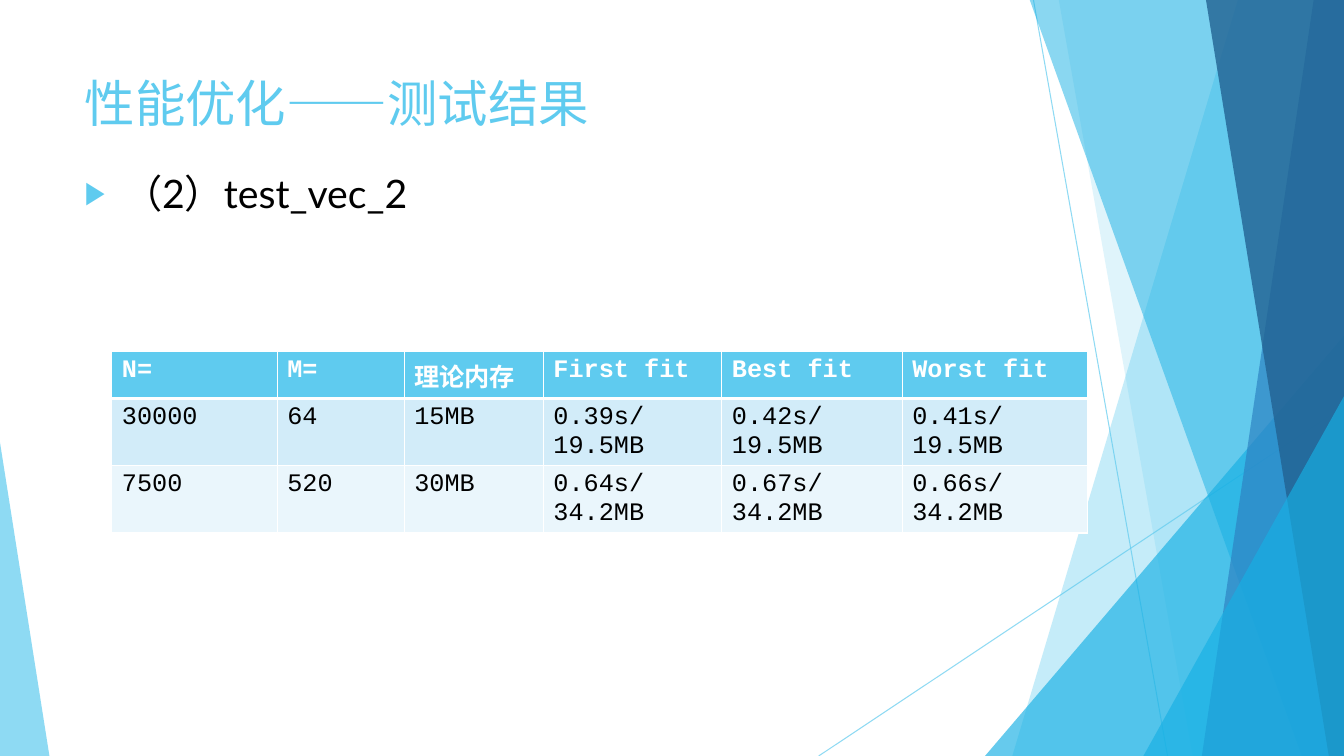
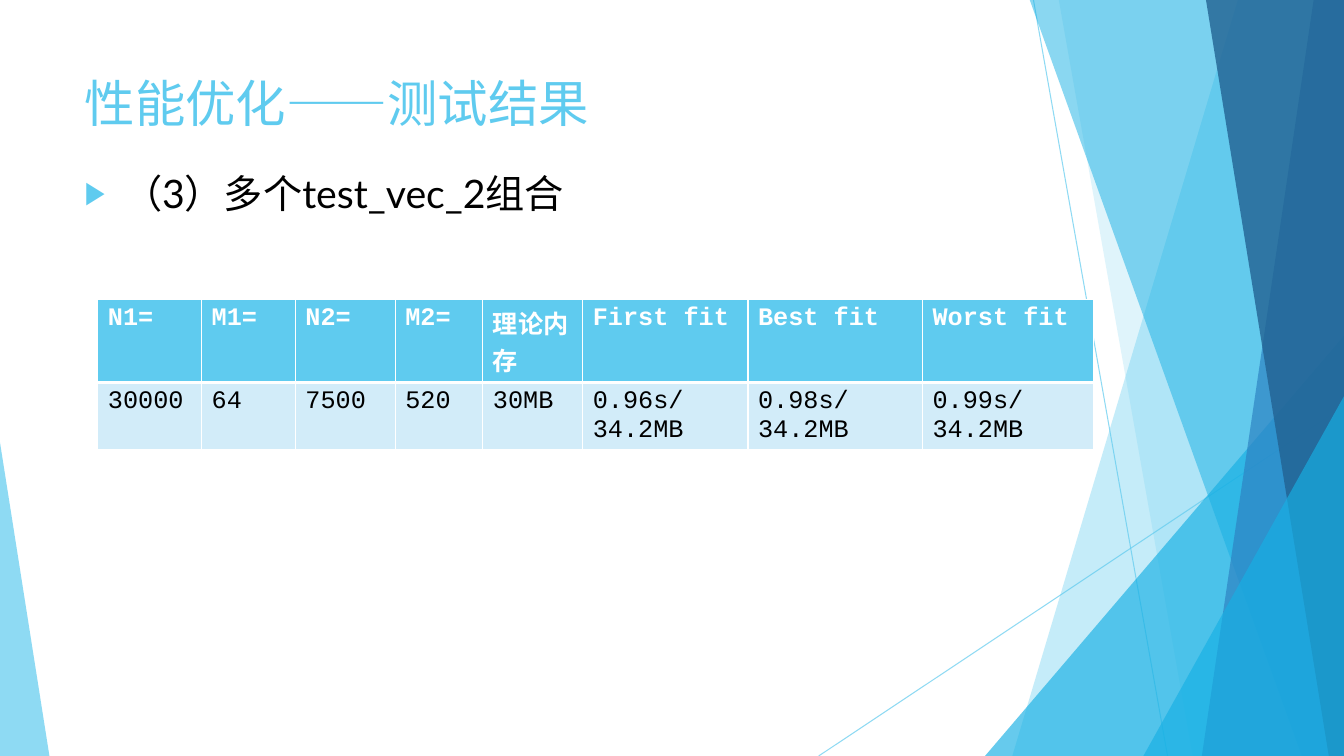
from dataclasses import dataclass

from lxml import etree
from pptx import Presentation
from pptx import util as u
from pptx.dml import color
from pptx.enum import shapes, text
from pptx.oxml import ns

# Shared look: lengths are px, 100 to the inch
PX = 9144
WIDTH, HEIGHT = 1333, 750
SKY, CYAN, BLUE, NAVY = "5FCBEF", "17B0E4", "2E83C3", "226292"
WHITE, BLACK = "FFFFFF", "000000"
BAND_FILLS = ("D2ECF9", "EAF6FC")
MONO, SANS = "Courier New", "Lato"
TITLE = "性能优化——测试结果"
ROW_HEIGHT = 41


@dataclass(frozen=True)
class Ray:
    start: tuple[int, int]
    end: tuple[int, int]


@dataclass(frozen=True)
class Band:
    """A full-height strip, given by its left and right edges."""
    top_left: int
    bottom_left: int
    fill: str
    opacity: int


@dataclass(frozen=True)
class Wedge:
    left: int
    top: int
    width: int
    apex: float
    fill: str
    opacity: int


@dataclass(frozen=True)
class Result:
    heading: str
    left: int
    top: int
    columns: tuple[int, ...]
    rows: tuple[tuple[str, ...], ...]


BACKDROP = (
    Ray((1025, 0), (1158, 750)),
    Ray((1333, 403), (812, 750)),
    Band(1228, 1004, SKY, 36),
    Band(1050, 1183, SKY, 20),
    Wedge(977, 333, 356, 1, CYAN, 66),
    Band(1021, 1291, CYAN, 50),
    Band(1303, 1192, BLUE, 70),
    Band(1196, 1318, NAVY, 80),
    Wedge(1134, 393, 199, 1, CYAN, 66),
    Wedge(0, 439, 49, 0, SKY, 70),
)

RESULTS = (
    Result("（2）test_vec_2", 111, 349, (164, 126, 138, 177, 179, 184), (
        ("N=", "M=", "理论内存", "First fit", "Best fit", "Worst fit"),
        ("30000", "64", "15MB", "0.39s/19.5MB", "0.42s/19.5MB", "0.41s/19.5MB"),
        ("7500", "520", "30MB", "0.64s/34.2MB", "0.67s/34.2MB", "0.66s/34.2MB"),
    )),
    Result("（3）多个test_vec_2组合", 97, 297, (103, 93, 99, 87, 99, 164, 173, 170), (
        ("N1=", "M1=", "N2=", "M2=", "理论内存", "First fit", "Best fit", "Worst fit"),
        ("30000", "64", "7500", "520", "30MB",
         "0.96s/34.2MB", "0.98s/34.2MB", "0.99s/34.2MB"),
    )),
)


def px(length: int) -> int:
    return u.Emu(length * PX)


def rgb(code: str) -> color.RGBColor:
    return color.RGBColor.from_string(code)


def add_xml(parent, tag: str, **attributes: str):
    return etree.SubElement(parent, ns.qn(tag), attributes)


def set_opacity(shape, percent: int) -> None:
    for value in shape.element.iter(ns.qn("a:srgbClr")):
        add_xml(value, "a:alpha", val=str(percent * 1000))


def format_runs(paragraph, size: int, font: str, colour: str, bold: bool = False) -> None:
    for run in paragraph.runs:
        run.font.size = u.Pt(size)
        run.font.name = font
        run.font.bold = bold
        run.font.color.rgb = rgb(colour)


# Backdrop
def draw_ray(slide, ray: Ray):
    line = slide.shapes.add_connector(
        shapes.MSO_CONNECTOR.STRAIGHT, *map(px, ray.start + ray.end))
    line.line.color.rgb = rgb(SKY)
    line.line.width = u.Pt(0.75)
    set_opacity(line, 70)
    add_xml(line.element.spPr, "a:effectLst")
    return line


def draw_facet(slide, facet: Band | Wedge):
    if isinstance(facet, Band):
        builder = slide.shapes.build_freeform(facet.top_left, -1, scale=PX)
        builder.add_line_segments(
            [(WIDTH, -1), (WIDTH, HEIGHT), (facet.bottom_left, HEIGHT)], close=True)
        shape = builder.convert_to_shape()
    else:
        shape = slide.shapes.add_shape(
            shapes.MSO_SHAPE.ISOSCELES_TRIANGLE, px(facet.left), px(facet.top),
            px(facet.width), px(HEIGHT - facet.top))
        shape.adjustments[0] = facet.apex
    shape.shadow.inherit = False
    shape.fill.solid()
    shape.fill.fore_color.rgb = rgb(facet.fill)
    shape.line.fill.background()
    set_opacity(shape, facet.opacity)
    return shape


def move_backdrop_to_layout(slide, layout) -> None:
    """Draw the backdrop once and hand it to the layout, behind its placeholders."""
    tree = layout.shapes.element
    for index, part in enumerate(BACKDROP):
        shape = draw_ray(slide, part) if isinstance(part, Ray) else draw_facet(slide, part)
        shape.element.xpath("./*/p:cNvPr")[0].set("id", str(100 + index))
        tree.insert(2 + index, shape.element)


# Title and list
def fill_placeholder(shape, words: str, box: tuple[int, int, int, int]):
    shape.left, shape.top, shape.width, shape.height = map(px, box)
    frame = shape.text_frame
    frame.text = words
    frame.word_wrap = True
    frame.auto_size = text.MSO_AUTO_SIZE.NONE
    frame.vertical_anchor = text.MSO_ANCHOR.TOP
    paragraph = frame.paragraphs[0]
    paragraph.alignment = text.PP_ALIGN.LEFT
    return paragraph


def add_bullet(paragraph) -> None:
    paragraph.space_before = u.Pt(10)
    properties = paragraph._p.get_or_add_pPr()
    properties.set("marL", str(px(38)))
    properties.set("indent", str(px(-38)))
    add_xml(add_xml(properties, "a:buClr"), "a:srgbClr", val=SKY)
    add_xml(properties, "a:buSzPct", val="80000")
    add_xml(properties, "a:buFont", typeface="Arial")
    add_xml(properties, "a:buChar", char="▶")


# Table
def set_borders(cell, top: int, bottom: int) -> None:
    properties = cell._tc.get_or_add_tcPr()
    edges = (("a:lnL", 1), ("a:lnR", 1), ("a:lnT", top), ("a:lnB", bottom))
    for index, (tag, points) in enumerate(edges):
        line = add_xml(properties, tag, w=str(u.Pt(points)))
        add_xml(add_xml(line, "a:solidFill"), "a:srgbClr", val=WHITE)
        properties.insert(index, line)


def draw_table(slide, result: Result) -> None:
    row_count = len(result.rows)
    table = slide.shapes.add_table(
        row_count, len(result.columns), px(result.left), px(result.top),
        px(sum(result.columns)), px(ROW_HEIGHT * row_count)).table
    for column, width in zip(table.columns, result.columns):
        column.width = px(width)
    for row_index, values in enumerate(result.rows):
        table.rows[row_index].height = px(ROW_HEIGHT)
        header = row_index == 0
        fill = SKY if header else BAND_FILLS[(row_index - 1) % 2]
        for column_index, value in enumerate(values):
            cell = table.cell(row_index, column_index)
            cell.text_frame.text = value
            format_runs(cell.text_frame.paragraphs[0], 18, MONO,
                        WHITE if header else BLACK, header)
            cell.fill.solid()
            cell.fill.fore_color.rgb = rgb(fill)
            set_borders(cell, 3 if row_index == 1 else 1, 3 if header else 1)


def draw_result(slide, result: Result) -> None:
    title = fill_placeholder(slide.shapes.title, TITLE, (74, 67, 940, 144))
    format_runs(title, 36, MONO, SKY)
    item = fill_placeholder(slide.placeholders[1], result.heading, (74, 163, 950, 552))
    add_bullet(item)
    format_runs(item, 28, SANS, BLACK)
    draw_table(slide, result)


def main() -> None:
    presentation = Presentation()
    presentation.slide_width, presentation.slide_height = px(WIDTH), px(HEIGHT)
    layout = presentation.slide_layouts[1]
    slides = [presentation.slides.add_slide(layout) for _ in RESULTS]
    move_backdrop_to_layout(slides[0], layout)
    for slide, result in zip(slides, RESULTS):
        draw_result(slide, result)
    presentation.save("out.pptx")


if __name__ == "__main__":
    main()
